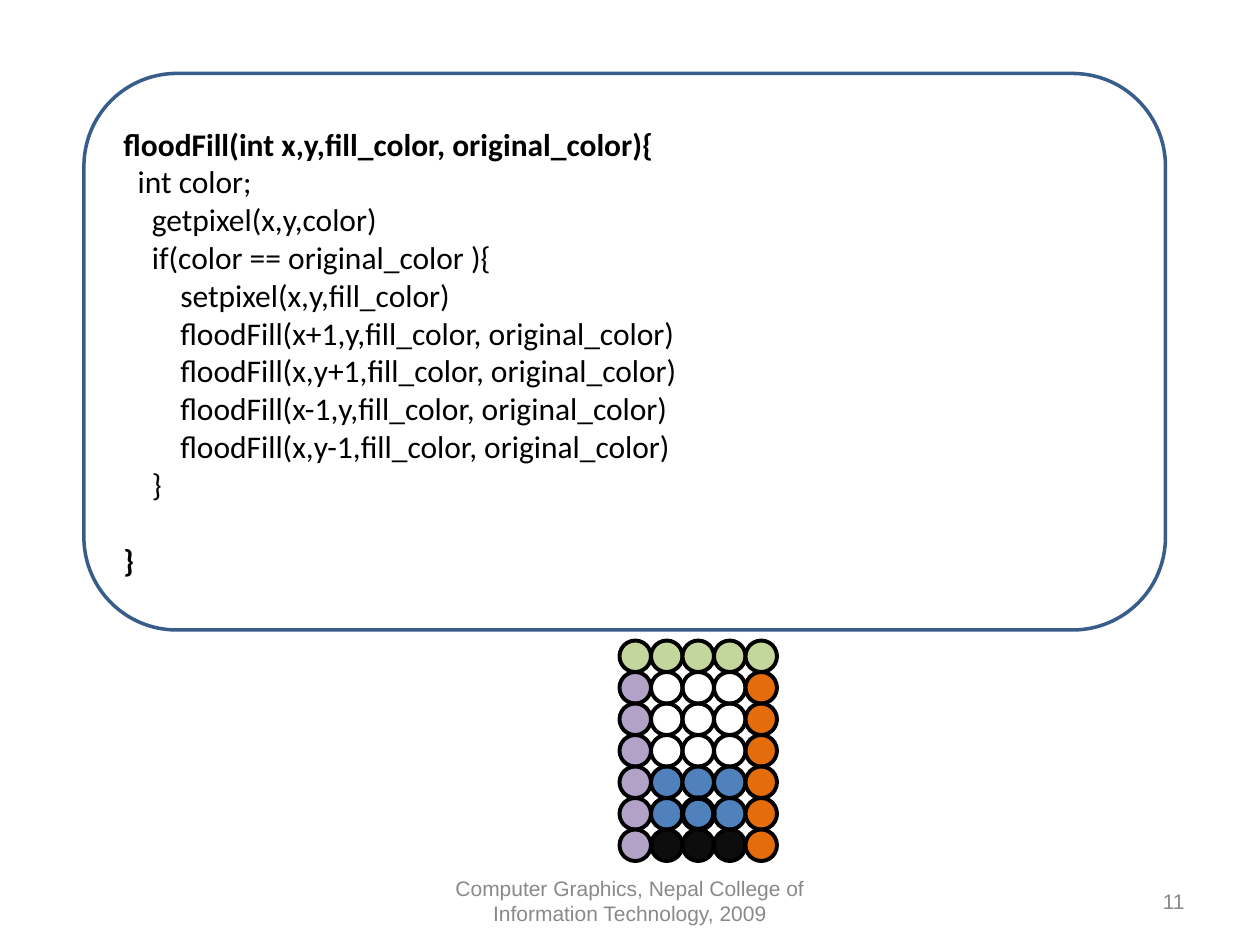
from pptx import Presentation
from pptx import util as u
from pptx.dml.color import RGBColor
from pptx.enum import shapes, text

HUES = {
    "ink": "000000", "paper": "FFFFFF", "frame": "385D8A", "note": "898989",
    "G": "C3D69B", "P": "B3A2C7", "O": "E46C0A", "B": "4F81BD", "K": "0D0D0D",
}
CODE = """floodFill(int x,y,fill_color, original_color){
  int color;
    getpixel(x,y,color)
    if(color == original_color ){
        setpixel(x,y,fill_color)
        floodFill(x+1,y,fill_color, original_color)
        floodFill(x,y+1,fill_color, original_color)
        floodFill(x-1,y,fill_color, original_color)
        floodFill(x,y-1,fill_color, original_color)
    }
}""".split("\n")
# One letter per pixel: a key of HUES, or a dot for an empty one
PIXELS = ["GGGGG", "P...O", "P...O", "P...O", "PBBBO", "PBBBO", "PKKKO"]

deck = Presentation()
deck.slide_width, deck.slide_height = u.Inches(10), u.Inches(7.5)
slide = deck.slides.add_slide(deck.slide_layouts[6])
unit = deck.slide_width / 120  # the slide is 120 columns by 90 rows


def rgb(key):
    return RGBColor.from_string(HUES[key])


def draw(kind, area, fill, line, width):
    shape = slide.shapes.add_shape(kind, *[round(n * unit) for n in area])
    shape.shadow.inherit = False
    if fill:
        shape.fill.solid()
        shape.fill.fore_color.rgb = rgb(fill)
    else:
        shape.fill.background()
    shape.line.color.rgb = rgb(line)
    shape.line.width = u.Pt(width)
    return shape


# Code panel
panel = draw(shapes.MSO_SHAPE.ROUNDED_RECTANGLE, (8, 7, 103, 53),
             "paper", "frame", 2)
frame = panel.text_frame
frame.word_wrap = True
frame.vertical_anchor = text.MSO_ANCHOR.MIDDLE
frame.text = "\n".join(CODE)
for para in frame.paragraphs:
    para.alignment = text.PP_ALIGN.LEFT
    font = para.runs[0].font
    font.name, font.size = "Calibri", u.Pt(18)
    font.color.rgb = rgb("ink")
    font.bold = not para.text.startswith(" ")
frame.paragraphs[-1].space_before = u.Pt(22)  # one line of air

# Footer and slide number
for left, wide, words, align in [
    (41, 38, "Computer Graphics, Nepal College of Information Technology, 2009",
     text.PP_ALIGN.CENTER),
    (86, 28, "11", text.PP_ALIGN.RIGHT),
]:
    area = (left, 83.4, wide, 4.8)
    box = slide.shapes.add_textbox(*[round(n * unit) for n in area])
    frame = box.text_frame
    frame.word_wrap = True
    frame.vertical_anchor = text.MSO_ANCHOR.MIDDLE
    frame.text = words
    para = frame.paragraphs[0]
    para.alignment = align
    font = para.runs[0].font
    font.name, font.size = "Arial", u.Pt(12)
    font.color.rgb = rgb("note")

# Pixel grid
size, x, y = 3, 59, 61
for row, keys in enumerate(PIXELS):
    for col, key in enumerate(keys):
        draw(shapes.MSO_SHAPE.OVAL,
             (x + col * size, y + row * size, size, size),
             None if key == "." else key, "ink", 2.25)

# Ring around the seed pixel
draw(shapes.MSO_SHAPE.OVAL, (x + 2 * size, y + 5 * size, size, size),
     None, "ink", 3)

deck.save("out.pptx")
